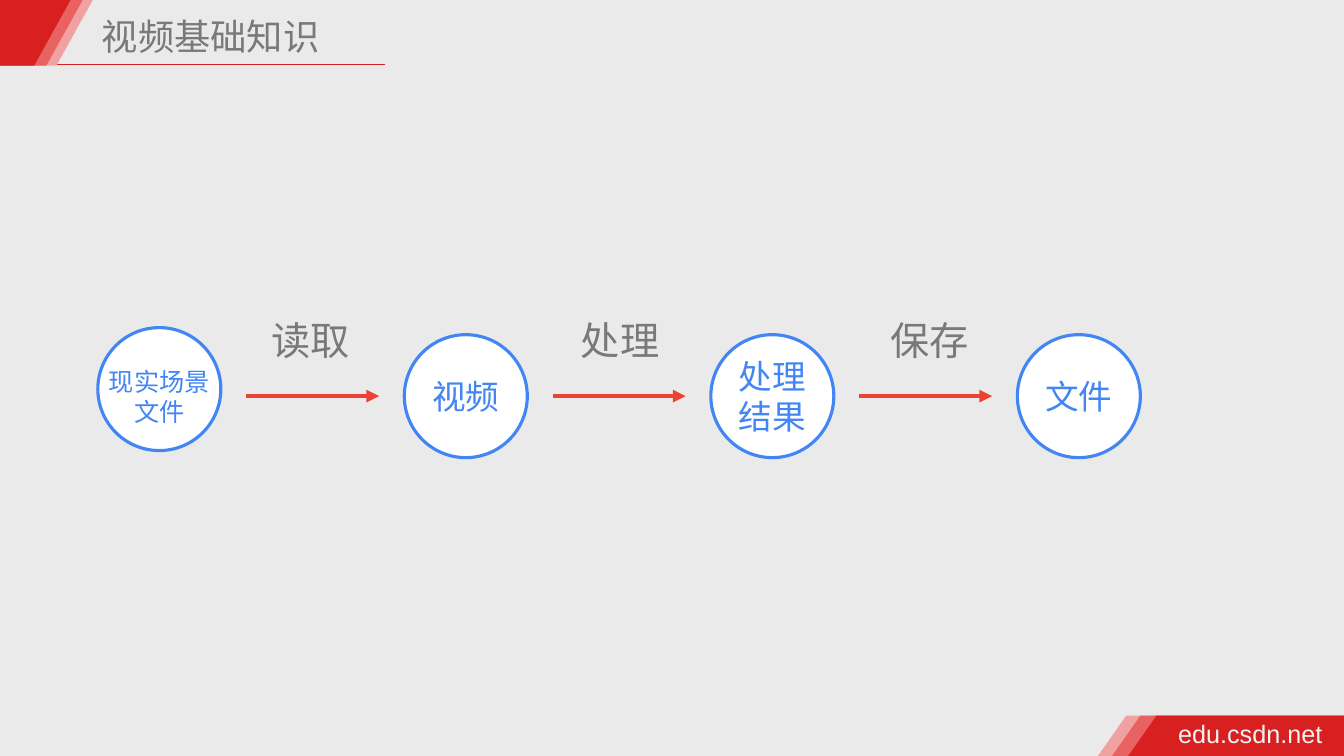
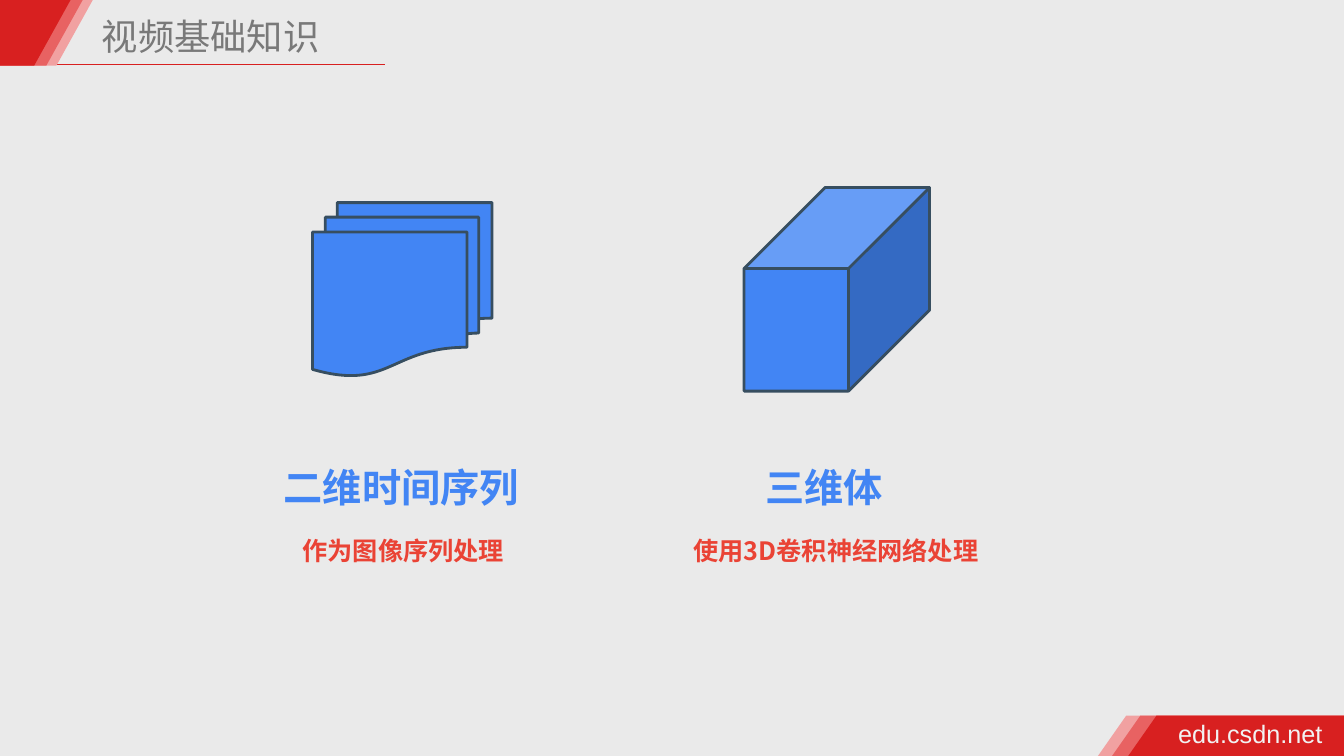
from lxml import etree
from pptx import Presentation
from pptx.dml.color import RGBColor
from pptx.enum.shapes import MSO_CONNECTOR as Connector, MSO_SHAPE as Shape
from pptx.enum.text import MSO_ANCHOR as Anchor, PP_ALIGN as Align
from pptx.oxml.ns import qn
from pptx.util import Inches, Pt

COLORS = {
    "background": "EAEAEA", "red": "D82020", "mid_red": "E86262", "pale_red": "F1A1A1",
    "grey": "797979", "light": "F2F2F2", "white": "FFFFFF",
    "blue": "4285F4", "arrow": "EA4335", "outline": "374E60",
}
CJK, LATIN = "Noto Sans CJK SC", "Arial"
WIDTH, HEIGHT = 13.33, 7.5

TITLE = "视频基础知识"
FOOTER = "edu.csdn.net"
HEADER_BANDS = [("pale_red", 0.92), ("mid_red", 0.82), ("red", 0.70)]
HEADER_HEIGHT, HEADER_SLANT = 0.65, 0.36
FOOTER_BANDS = [("pale_red", 10.89), ("mid_red", 11.03), ("red", 11.19)]
FOOTER_TOP, FOOTER_SLANT = 7.1, 0.28

STAGES = [
    ("现实场景\n文件", 18, 3.25, 0.19),
    ("视频", 24, 3.32, 0.05),
    ("处理结果", 24, 3.32, 0.05),
    ("文件", 24, 3.32, 0.05),
]
STEPS = ["读取", "处理", "保存"]
STAGE_LEFT, STAGE_PITCH, STAGE_SIZE = 0.97, 3.04, 1.22
ARROW_OFFSET, ARROW_LENGTH, ARROW_Y = 1.47, 1.32, 3.93
STEP_CENTER, STEP_PITCH = 3.08, 3.07

VIEWS = [
    (Shape.FLOWCHART_MULTIDOCUMENT, (3.1, 2.01, 1.78, 1.72), None,
     "二维时间序列", 3.98, "作为图像序列处理", 4.0),
    (Shape.CUBE, (7.38, 1.86, 1.84, 2.02), 0.437,
     "三维体", 8.17, "使用3D卷积神经网络处理", 8.29),
]


def rgb(name):
    return RGBColor.from_string(COLORS[name])


def write(shape, text, size, color, font=CJK, bold=False, align=Align.CENTER, wrap=True, top=0.05):
    frame = shape.text_frame
    frame.word_wrap = wrap
    frame.vertical_anchor = Anchor.MIDDLE
    frame.margin_left = frame.margin_right = frame.margin_bottom = Inches(0.05)
    frame.margin_top = Inches(top)
    frame.text = text
    for paragraph in frame.paragraphs:
        paragraph.alignment = align
        for run in paragraph.runs:
            run.font.size, run.font.bold, run.font.name = Pt(size), bold, font
            run.font.color.rgb = rgb(color)
            east_asian = etree.SubElement(run.font._element, qn("a:ea"))
            east_asian.set("typeface", font)


def add_label(slide, text, center, middle, width, size, color, **style):
    height = 0.6
    box = slide.shapes.add_textbox(
        Inches(center - width / 2), Inches(middle - height / 2), Inches(width), Inches(height))
    write(box, text, size, color, **style)


def add_figure(slide, kind, bounds, fill, line, weight):
    figure = slide.shapes.add_shape(kind, *map(Inches, bounds))
    figure.shadow.inherit = False
    figure.fill.solid()
    figure.fill.fore_color.rgb = rgb(fill)
    figure.line.color.rgb = rgb(line)
    figure.line.width = Pt(weight)
    return figure


def add_band(slide, points, color):
    corners = [(Inches(x), Inches(y)) for x, y in points]
    builder = slide.shapes.build_freeform(*corners[0])
    builder.add_line_segments(corners[1:])
    band = builder.convert_to_shape()
    band.shadow.inherit = False
    band.fill.solid()
    band.fill.fore_color.rgb = rgb(color)
    band.line.fill.background()


def add_rule(slide, left, right, y, color, weight, arrow=False):
    rule = slide.shapes.add_connector(
        Connector.STRAIGHT, Inches(left), Inches(y), Inches(right), Inches(y))
    rule.line.color.rgb = rgb(color)
    rule.line.width = Pt(weight)
    if arrow:
        etree.SubElement(rule.line._get_or_add_ln(), qn("a:tailEnd")).set("type", "triangle")
    etree.SubElement(rule._element.spPr, qn("a:effectLst"))


def add_page(prs):
    slide = prs.slides.add_slide(prs.slide_layouts[6])
    add_rule(slide, 0.49, 3.82, 0.64, "red", 1)
    for color, left in FOOTER_BANDS:
        add_band(slide, [(left + FOOTER_SLANT, FOOTER_TOP), (WIDTH, FOOTER_TOP),
                         (WIDTH, HEIGHT), (left, HEIGHT)], color)
    for color, right in HEADER_BANDS:
        add_band(slide, [(0, 0), (right, 0), (right - HEADER_SLANT, HEADER_HEIGHT),
                         (0, HEADER_HEIGHT)], color)
    add_label(slide, FOOTER, 12.4, 7.28, 1.55, 18, "light", font=LATIN, wrap=False)
    add_label(slide, TITLE, 2.89, 0.36, 3.86, 25.9, "grey", align=Align.LEFT)
    return slide


def add_workflow(prs):
    slide = add_page(prs)
    for i, (text, size, top, inset) in enumerate(STAGES):
        left = STAGE_LEFT + i * STAGE_PITCH
        stage = add_figure(slide, Shape.OVAL, (left, top, STAGE_SIZE, STAGE_SIZE),
                           "white", "blue", 2.25)
        write(stage, text, size, "blue", wrap="\n" not in text, top=inset)
    for i, step in enumerate(STEPS):
        start = STAGE_LEFT + i * STAGE_PITCH + ARROW_OFFSET
        add_rule(slide, start, start + ARROW_LENGTH, ARROW_Y, "arrow", 3, arrow=True)
        add_label(slide, step, STEP_CENTER + i * STEP_PITCH, 3.37, 1.2, 28, "grey")


def add_views(prs):
    slide = add_page(prs)
    for kind, bounds, depth, heading, heading_center, method, method_center in VIEWS:
        figure = add_figure(slide, kind, bounds, "blue", "outline", 2)
        if depth is not None:
            figure.adjustments[0] = depth
        add_label(slide, heading, heading_center, 4.83, 2.6, 28, "blue", bold=True)
        add_label(slide, method, method_center, 5.46, 3.47, 18, "arrow", bold=True)


def main():
    prs = Presentation()
    prs.slide_width, prs.slide_height = Inches(WIDTH), Inches(HEIGHT)
    backdrop = prs.slide_master.background.fill
    backdrop.solid()
    backdrop.fore_color.rgb = rgb("background")
    add_workflow(prs)
    add_views(prs)
    prs.save("out.pptx")


if __name__ == "__main__":
    main()
